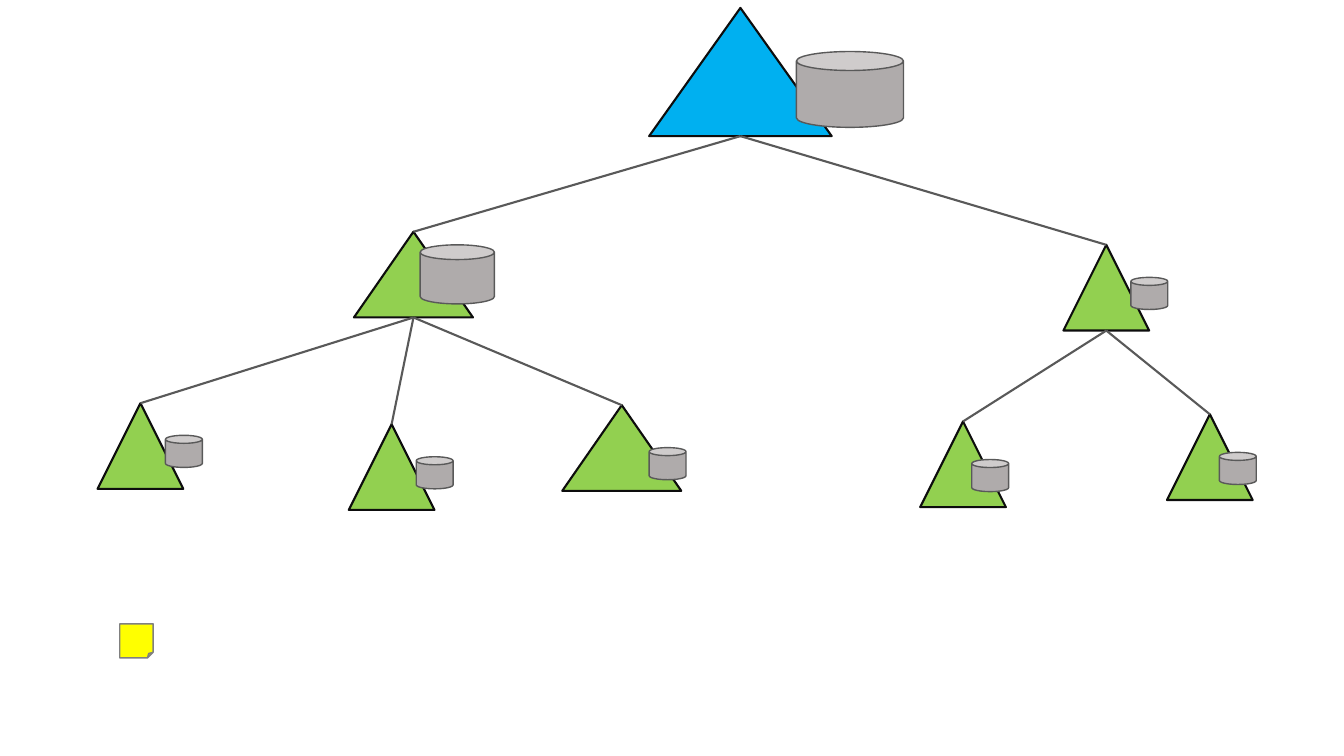
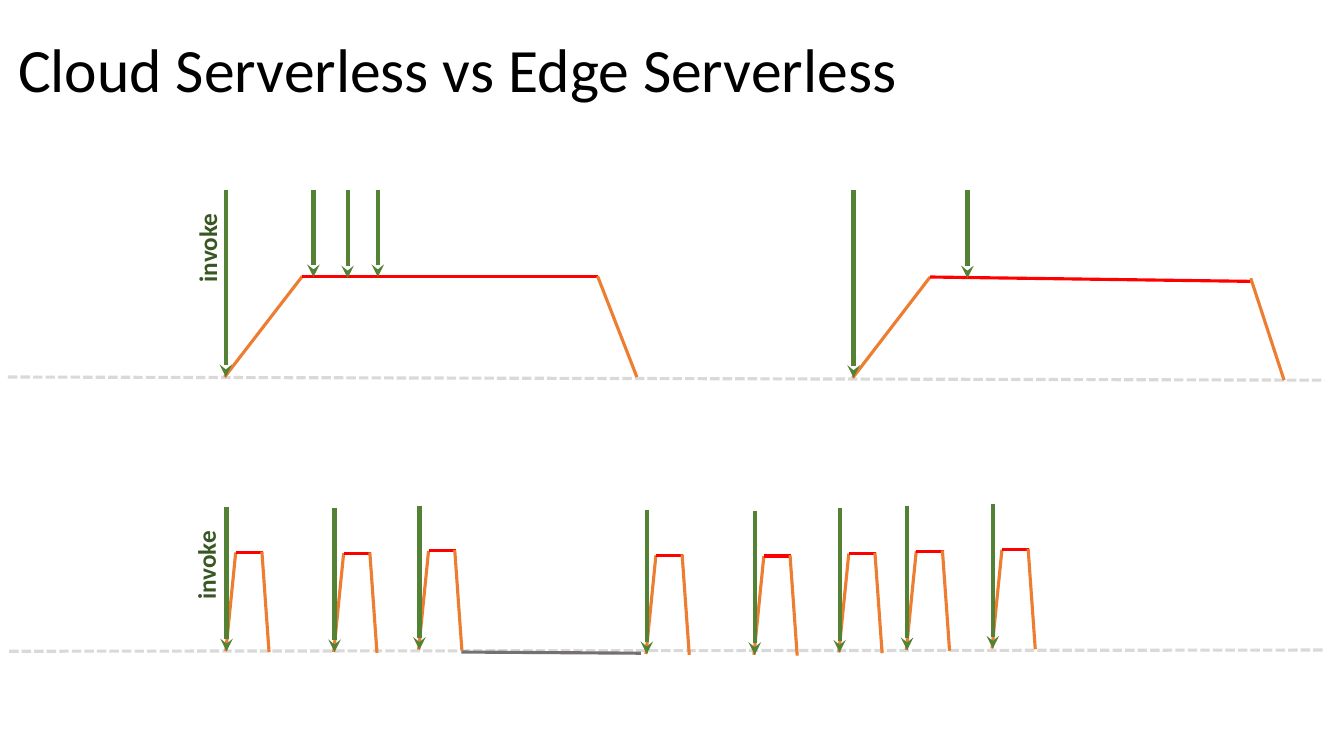
import lxml.etree
import pptx
import pptx.dml.color
import pptx.enum.dml
import pptx.enum.shapes
import pptx.enum.text
import pptx.oxml.ns
import pptx.util

Cm = pptx.util.Cm
Pt = pptx.util.Pt
qn = pptx.oxml.ns.qn
SHAPE = pptx.enum.shapes.MSO_SHAPE

COLORS = {
    "root": "00B0F0", "node": "92D050", "outline": "0D0D0D",
    "store": "AFABAB", "link": "595959", "note": "FFFF00", "note_edge": "808080",
    "title": "000000", "axis": "D9D9D9", "ramp": "ED7D31", "busy": "FF0000",
    "invoke": "548235", "invoke_text": "385723", "idle": "767171",
}


class Sketch:
    """Draws styled elements on the current slide of a deck."""

    font_name = "Calibri"

    def __init__(self):
        self.deck = pptx.Presentation()
        self.deck.slide_width = Cm(33.87)
        self.deck.slide_height = Cm(19.05)
        self.page = None

    def color(self, name):
        return pptx.dml.color.RGBColor.from_string(COLORS[name])

    def add_page(self, title=None):
        layout = self.deck.slide_layouts[6 if title is None else 5]
        self.page = self.deck.slides.add_slide(layout)
        if title is not None:
            box = self.page.shapes.title
            box.left, box.top, box.width, box.height = Cm(0.2), Cm(0), Cm(29.21), Cm(3.68)
            self.set_text(box, title, 44, "title")
            box.text_frame.vertical_anchor = pptx.enum.text.MSO_ANCHOR.MIDDLE
            box.text_frame.auto_size = pptx.enum.text.MSO_AUTO_SIZE.NONE
            box.text_frame.paragraphs[0].line_spacing = 0.9

    def set_text(self, box, text, size, color, bold=False):
        box.text_frame.text = text
        para = box.text_frame.paragraphs[0]
        para.alignment = pptx.enum.text.PP_ALIGN.LEFT
        font = para.runs[0].font
        font.name, font.size, font.bold = self.font_name, Pt(size), bold
        font.color.rgb = self.color(color)

    def shape(self, kind, left, top, width, height, fill, edge, weight):
        shape = self.page.shapes.add_shape(kind, Cm(left), Cm(top), Cm(width), Cm(height))
        shape.shadow.inherit = False
        shape.fill.solid()
        shape.fill.fore_color.rgb = self.color(fill)
        shape.line.color.rgb = self.color(edge)
        shape.line.width = Pt(weight)
        return shape

    def node(self, left, top, width=2.16, height=2.16, fill="node"):
        return self.shape(SHAPE.ISOSCELES_TRIANGLE, left, top, width, height, fill, "outline", 1.5)

    def store(self, left, top, width=0.93, height=0.81):
        return self.shape(SHAPE.CAN, left, top, width, height, "store", "link", 1)

    def line(self, start, end, color, weight=2.25, dashed=False, arrow=False):
        points = [Cm(value) for value in (*start, *end)]
        line = self.page.shapes.add_connector(pptx.enum.shapes.MSO_CONNECTOR.STRAIGHT, *points)
        line.line.color.rgb = self.color(color)
        line.line.width = Pt(weight)
        if dashed:
            line.line.dash_style = pptx.enum.dml.MSO_LINE.SQUARE_DOT
        properties = line.element.find(qn("p:spPr"))
        if arrow:
            lxml.etree.SubElement(properties.find(qn("a:ln")), qn("a:tailEnd"), type="stealth")
        lxml.etree.SubElement(properties, qn("a:effectLst"))
        return line

    def link(self, parent, child):
        line = self.line((0, 0), (0, 0), "link", 1.5)
        line.begin_connect(parent, 3)
        line.begin_x = parent.left + parent.width // 2
        line.begin_y = parent.top + parent.height
        line.end_connect(child, 0)

    def axis(self, start, end):
        self.line(start, end, "axis", dashed=True)

    def invoke(self, x, top, bottom):
        self.line((x, top), (x, bottom), "invoke", 3, arrow=True)

    def cycle(self, start, ready, done, fall, end):
        self.line(start, ready, "ramp")
        self.line(ready, done, "busy")
        self.line(end, fall, "ramp")

    def pulse(self, x, y):
        self.cycle((x, y), (x + 0.25, y - 2.49), (x + 0.94, y - 2.49),
                   (x + 0.91, y - 2.51), (x + 1.09, y + 0.02))
        self.invoke(x + 0.02, y - 3.63, y)

    def invoke_label(self, left, top):
        box = self.page.shapes.add_textbox(Cm(left), Cm(top), Cm(2.26), Cm(1.02))
        box.rotation = 270
        box.text_frame.word_wrap = False
        box.text_frame.auto_size = pptx.enum.text.MSO_AUTO_SIZE.SHAPE_TO_FIT_TEXT
        self.set_text(box, "invoke", 18, "invoke_text", bold=True)


def draw_tree(sketch):
    """Draws the tree of nodes with their stores."""
    sketch.add_page()
    root = sketch.node(16.36, 0.2, 4.6, 3.23, "root")
    left_hub = sketch.node(8.92, 5.84, 3)
    right_hub = sketch.node(26.8, 6.17)
    left_leaves = [sketch.node(2.46, 10.16), sketch.node(8.79, 10.69), sketch.node(14.17, 10.21, 3)]
    right_leaves = [sketch.node(23.19, 10.62), sketch.node(29.41, 10.44)]
    families = [(root, [left_hub, right_hub]), (left_hub, left_leaves), (right_hub, right_leaves)]
    for parent, children in families:
        for child in children:
            sketch.link(parent, child)
    sketch.store(20.07, 1.3, 2.7, 1.91)
    sketch.store(10.59, 6.17, 1.87, 1.49)
    for left, top in [(28.5, 6.99), (4.17, 10.97), (10.49, 11.51),
                      (16.36, 11.28), (24.49, 11.58), (30.73, 11.4)]:
        sketch.store(left, top)
    sketch.shape(SHAPE.FOLDED_CORNER, 3.02, 15.72, 0.84, 0.86, "note", "note_edge", 1)


def draw_timelines(sketch):
    """Draws the cloud timeline above the edge timeline."""
    sketch.add_page("Cloud Serverless vs Edge Serverless")
    sketch.axis((0.2, 9.5), (33.38, 9.58))
    sketch.cycle((5.66, 9.5), (7.62, 6.96), (15.06, 6.96), (15.06, 6.96), (16.05, 9.5))
    sketch.cycle((21.49, 9.52), (23.44, 6.98), (31.52, 7.09), (31.52, 7.01), (32.36, 9.58))
    for x, bottom in [(5.69, 9.5), (7.9, 6.98), (8.76, 7.01), (9.52, 6.98),
                      (21.51, 9.52), (24.38, 7.01)]:
        sketch.invoke(x, 4.8, bottom)
    sketch.invoke_label(4.09, 5.72)

    sketch.axis((0.23, 16.41), (33.38, 16.38))
    for x, y in [(5.69, 16.41), (8.41, 16.43), (10.55, 16.37), (16.28, 16.48),
                 (19, 16.5), (21.14, 16.44), (22.84, 16.38), (25, 16.34)]:
        sketch.pulse(x, y)
    sketch.line((11.63, 16.43), (16.15, 16.46), "idle")
    sketch.invoke_label(4.06, 13.72)


def main():
    """Builds and saves the deck."""
    sketch = Sketch()
    draw_tree(sketch)
    draw_timelines(sketch)
    sketch.deck.save("out.pptx")


if __name__ == "__main__":
    main()
